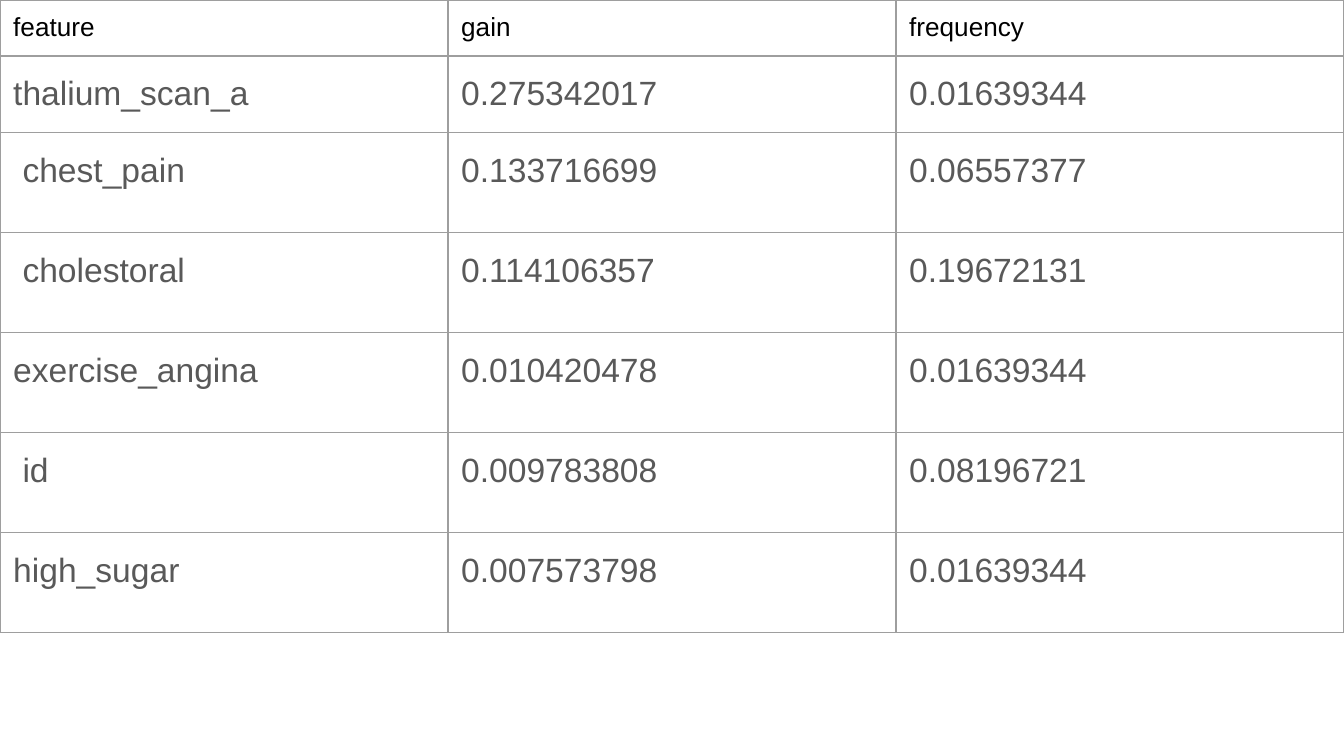
from lxml import etree
from pptx import Presentation
from pptx.dml.color import RGBColor
from pptx.oxml.ns import qn
from pptx.util import Cm, Pt

BLANK_LAYOUT = 6
PAGE_WIDTH, PAGE_HEIGHT = 25.4, 14.29
HEADER_HEIGHT, FIRST_HEIGHT, BODY_HEIGHT = 1.06, 1.45, 1.89
CELL_MARGIN = 0.25
FONT = "Arial"
HEADER_COLOUR, BODY_COLOUR, BORDER_COLOUR = "000000", "595959", "9E9E9E"

HEADINGS = ("feature", "gain", "frequency")
FEATURES = (
    ("thalium_scan_a", "0.275342017", "0.01639344"),
    (" chest_pain", "0.133716699", "0.06557377"),
    (" cholestoral", "0.114106357", "0.19672131"),
    ("exercise_angina", "0.010420478", "0.01639344"),
    (" id", "0.009783808", "0.08196721"),
    ("high_sugar", "0.007573798", "0.01639344"),
)


def colour(value):
    """Return the colour for a hex string."""
    return RGBColor.from_string(value)


def add_borders(cell):
    """Draw a thin line on all four sides of a cell."""
    properties = cell._tc.get_or_add_tcPr()
    for side in ("lnL", "lnR", "lnT", "lnB"):
        line = etree.SubElement(properties, qn(f"a:{side}"), w=str(Pt(0.75)))
        fill = etree.SubElement(line, qn("a:solidFill"))
        etree.SubElement(fill, qn("a:srgbClr"), val=BORDER_COLOUR)


def fill_cell(cell, text, is_header):
    """Write and format one cell of the table."""
    add_borders(cell)
    cell.fill.background()
    cell.margin_left = cell.margin_right = Cm(CELL_MARGIN)
    cell.margin_top = cell.margin_bottom = Cm(CELL_MARGIN)
    para = cell.text_frame.paragraphs[0]
    if not is_header:
        para.line_spacing = 1.15
        para.space_after = Pt(16)
    span = para.add_run()
    span.text = text
    span.font.name = FONT
    span.font.size = Pt(14 if is_header else 18)
    span.font.color.rgb = colour(HEADER_COLOUR if is_header else BODY_COLOUR)


def add_feature_table(page, left, top, width):
    """Place the feature importance table in the given box."""
    rows = (HEADINGS, *FEATURES)
    heights = [HEADER_HEIGHT, FIRST_HEIGHT] + [BODY_HEIGHT] * (len(rows) - 2)
    table = page.shapes.add_table(
        len(rows), len(HEADINGS), Cm(left), Cm(top), Cm(width), Cm(sum(heights))
    ).table
    table.first_row = False
    table.horz_banding = False
    for column in table.columns:
        column.width = Cm(width / len(HEADINGS))
    for index, (texts, height) in enumerate(zip(rows, heights)):
        table.rows[index].height = Cm(height)
        for cell, text in zip(table.rows[index].cells, texts):
            fill_cell(cell, text, index == 0)


def main():
    """Build the deck and save it."""
    deck = Presentation()
    deck.slide_width, deck.slide_height = Cm(PAGE_WIDTH), Cm(PAGE_HEIGHT)
    page = deck.slides.add_slide(deck.slide_layouts[BLANK_LAYOUT])
    page.background.fill.solid()
    page.background.fill.fore_color.rgb = colour("FFFFFF")
    add_feature_table(page, 0, 0, PAGE_WIDTH)
    deck.save("out.pptx")


if __name__ == "__main__":
    main()
